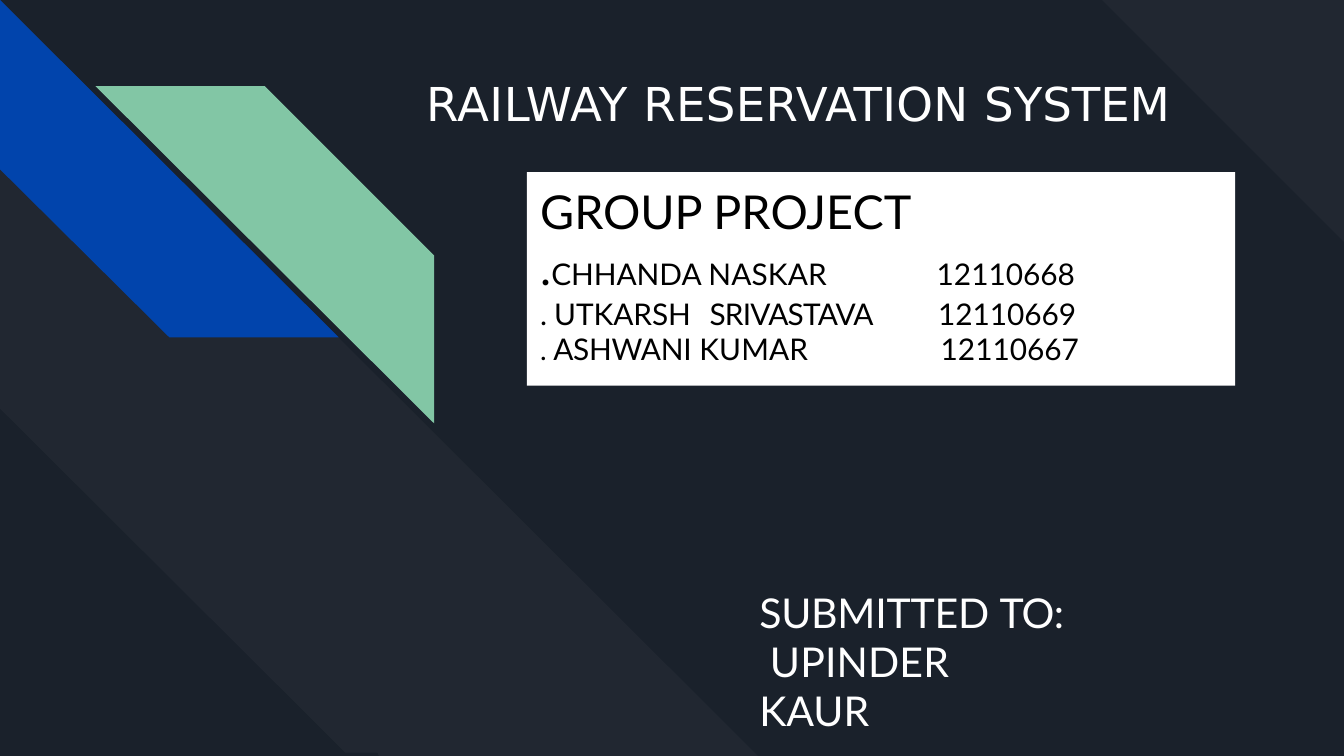
from dataclasses import dataclass

from lxml import etree
from pptx import Presentation
from pptx.dml.color import RGBColor
from pptx.enum.shapes import MSO_SHAPE
from pptx.enum.text import MSO_ANCHOR, MSO_AUTO_SIZE, PP_ALIGN
from pptx.oxml.ns import qn
from pptx.util import Inches, Pt

RECTANGLE = MSO_SHAPE.RECTANGLE
TOP = MSO_ANCHOR.TOP
NO_FIT = MSO_AUTO_SIZE.NONE
LEFT = PP_ALIGN.LEFT


@dataclass(frozen=True)
class Theme:
    night: str = "1A212B"
    white: str = "FFFFFF"
    black: str = "000000"
    blue: str = "0144AC"
    green: str = "82C6A5"
    title_font: str = "DejaVu Sans"
    body_font: str = "Lato"
    heading: float = 25
    submitted: float = 22
    member: float = 16
    small: float = 15


THEME = Theme()
WIDTH = 10
HEIGHT = WIDTH * 9 / 16
BAND, REACH, DROP = 1.26, 2.52, 2.51
GREEN_LEFT, GREEN_TOP = 0.71, 0.64
VEIL = 3

TITLE = [("RAILWAY ", 0.3), ("RESERVATION ", 0.2), ("SYSTEM", 0)]
SUBMITTED = [[("SUBMITTED ", -0.1), ("TO:", -0.4)], [(" UPINDER", 0.1)], [("KAUR", 0)]]
GROUP = [("GROUP ", 0), ("PROJECT", 0.1)]
MEMBERS = [
    {"dot": (".", -0.1, THEME.heading), "before": 0, "tabs": [2.95],
     "runs": [("CHHANDA ", 0), ("NASKAR\t", 0.1), ("12110668", 0)]},
    {"dot": (". ", -0.4, THEME.member), "before": 0.3, "tabs": [1.26, 2.96],
     "runs": [("UTKARSH\t", 0), ("SRIVASTAVA\t", -0.4), ("12110669", 0)]},
    {"dot": (". ", -0.4, THEME.small), "before": 0, "tabs": [2.98],
     "runs": [("ASHWANI ", -0.1), ("KUMAR\t", 0.1), ("12110667", 0)]},
]

POLYGONS = [
    ([(WIDTH, 1.8), (8.2, 0), (WIDTH, 0)], THEME.white, VEIL),
    ([(5.64, HEIGHT), (0, 0), (0, 3.04), (2.57, 5.6), (2.81, 5.6), (2.82, HEIGHT)],
     THEME.white, VEIL),
    ([(REACH, DROP), (BAND, DROP), (0, BAND), (0, 0)], THEME.blue, 100),
    ([(GREEN_LEFT + x, GREEN_TOP + y)
      for x, y in [(REACH, DROP), (0, 0), (BAND, 0), (REACH, BAND)]], THEME.green, 100),
]


def paint(shape, color, opacity=100):
    shape.shadow.inherit = False
    shape.fill.solid()
    shape.fill.fore_color.rgb = RGBColor.from_string(color)
    shape.line.fill.background()
    if opacity < 100:
        solid = shape.fill.fore_color._xFill.find(qn("a:srgbClr"))
        etree.SubElement(solid, qn("a:alpha")).set("val", str(opacity * 1000))


def add_polygon(slide, points, color, opacity):
    corners = [(Inches(x), Inches(y)) for x, y in points]
    builder = slide.shapes.build_freeform(*corners[0])
    builder.add_line_segments(corners[1:], close=True)
    paint(builder.convert_to_shape(), color, opacity)


def prepare_frame(shape, top_inset):
    frame = shape.text_frame
    frame.word_wrap = True
    frame.auto_size = NO_FIT
    frame.vertical_anchor = TOP
    frame.margin_left = frame.margin_right = frame.margin_bottom = 0
    frame.margin_top = Inches(top_inset)
    return frame


def format_paragraph(paragraph, indent, before=0, tabs=()):
    paragraph.alignment = LEFT
    paragraph.space_before = Pt(before)
    properties = paragraph._p.get_or_add_pPr()
    properties.set("marL", str(Inches(indent)))
    if tabs:
        tab_list = etree.SubElement(properties, qn("a:tabLst"))
        for position in tabs:
            tab = etree.SubElement(tab_list, qn("a:tab"))
            tab.set("pos", str(Inches(position)))
            tab.set("algn", "l")


def add_runs(paragraph, runs, size, color, font=THEME.body_font):
    for text, spacing in runs:
        run = paragraph.add_run()
        run.text = text
        run.font.size = Pt(size)
        run.font.name = font
        run.font.color.rgb = RGBColor.from_string(color)
        run._r.get_or_add_rPr().set("spc", str(round(spacing * 100)))


def add_title(slide):
    title = slide.shapes.title
    title.left, title.top, title.width, title.height = map(Inches, (1.01, 0.54, 7.99, 0.45))
    paragraph = prepare_frame(title, 0.02).paragraphs[0]
    format_paragraph(paragraph, 2.16, 1.4)
    add_runs(paragraph, TITLE, THEME.heading, THEME.white, THEME.title_font)


def add_submitted(slide):
    panel = slide.shapes.add_shape(RECTANGLE, *map(Inches, (5.56, 4.29, 3.8, 0.55)))
    paint(panel, THEME.night)
    box = slide.shapes.add_textbox(*map(Inches, (5.64, 4.36, 2.3, 0.76)))
    paragraph = prepare_frame(box, 0.01).paragraphs[0]
    format_paragraph(paragraph, 0.01, 1)
    for index, line in enumerate(SUBMITTED):
        if index:
            paragraph.add_line_break()
        add_runs(paragraph, line, THEME.submitted, THEME.white)


def add_group(slide):
    card = slide.shapes.add_shape(RECTANGLE, *map(Inches, (3.92, 1.28, 5.27, 1.59)))
    paint(card, THEME.white)
    frame = prepare_frame(card, 0.08)
    heading = frame.paragraphs[0]
    format_paragraph(heading, 0.1, 6.1)
    add_runs(heading, GROUP, THEME.heading, THEME.black)
    for member in MEMBERS:
        paragraph = frame.add_paragraph()
        format_paragraph(paragraph, 0.1, member["before"], member["tabs"])
        dot, spacing, size = member["dot"]
        add_runs(paragraph, [(dot, spacing)], size, THEME.black)
        add_runs(paragraph, member["runs"], THEME.member, THEME.black)


def main():
    presentation = Presentation()
    presentation.slide_width, presentation.slide_height = Inches(WIDTH), Inches(HEIGHT)
    slide = presentation.slides.add_slide(presentation.slide_layouts[5])
    slide.background.fill.solid()
    slide.background.fill.fore_color.rgb = RGBColor.from_string(THEME.night)
    for points, color, opacity in POLYGONS:
        add_polygon(slide, points, color, opacity)
    add_title(slide)
    add_submitted(slide)
    add_group(slide)
    presentation.save("out.pptx")


if __name__ == "__main__":
    main()
